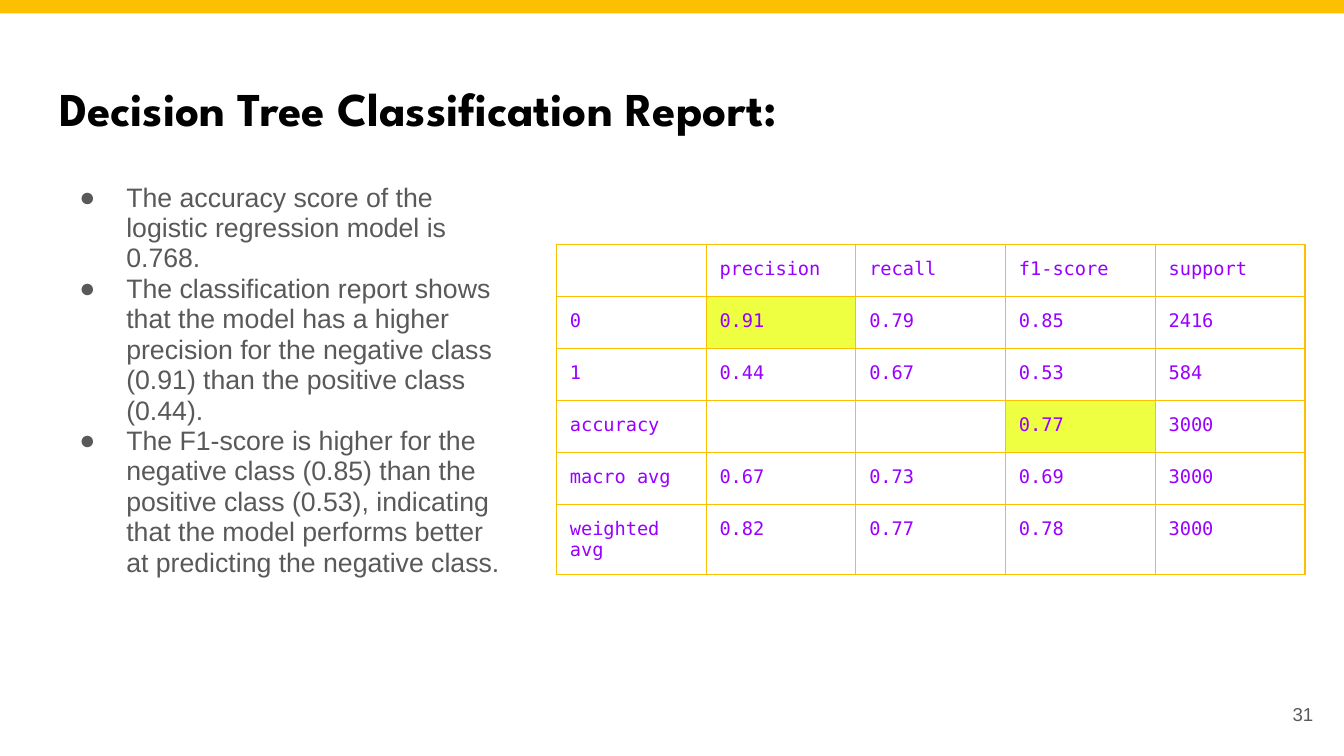
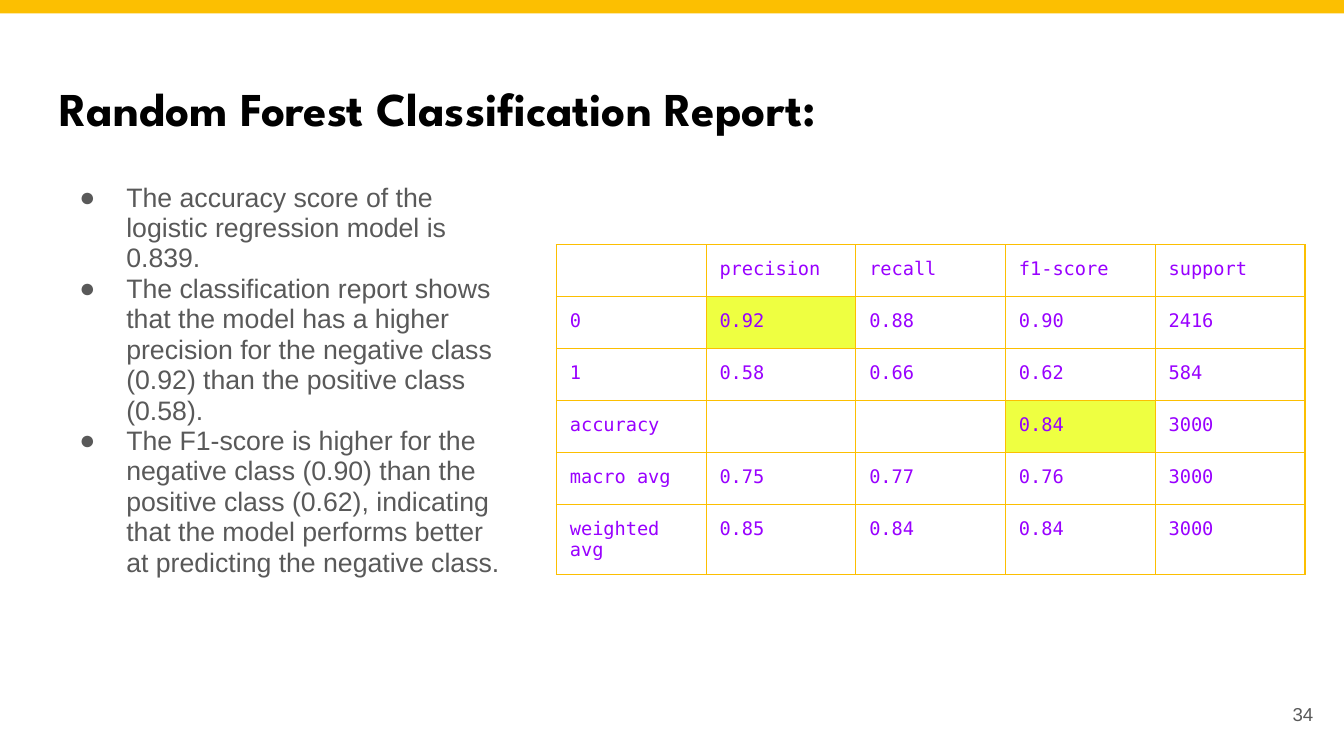
import pptx
import pptx.util
import pptx.dml.color
import pptx.enum.shapes
import pptx.enum.text
import lxml.etree
import pptx.oxml.ns

Inches, Pt = pptx.util.Inches, pptx.util.Pt
RGBColor = pptx.dml.color.RGBColor
ALIGN, ANCHOR = pptx.enum.text.PP_ALIGN, pptx.enum.text.MSO_ANCHOR
qn = pptx.oxml.ns.qn

# Content: scores are precision, recall, f1-score, support
HEADER = ["", "precision", "recall", "f1-score", "support"]
ROW_NAMES = ["0", "1", "accuracy", "macro avg", "weighted avg"]
HIGHLIGHTS = {(1, 1), (3, 3)}
REPORTS = [
    {"title": "Decision Tree Classification Report:", "page": "31", "accuracy": "0.768",
     "scores": [["0.91", "0.79", "0.85", "2416"],
                ["0.44", "0.67", "0.53", "584"],
                ["", "", "0.77", "3000"],
                ["0.67", "0.73", "0.69", "3000"],
                ["0.82", "0.77", "0.78", "3000"]]},
    {"title": "Random Forest Classification Report:", "page": "34", "accuracy": "0.839",
     "scores": [["0.92", "0.88", "0.90", "2416"],
                ["0.58", "0.66", "0.62", "584"],
                ["", "", "0.84", "3000"],
                ["0.75", "0.77", "0.76", "3000"],
                ["0.85", "0.84", "0.84", "3000"]]},
]
BULLETS = [
    "The accuracy score of the logistic regression model is {accuracy}.",
    "The classification report shows that the model has a higher precision for the "
    "negative class ({neg[0]}) than the positive class ({pos[0]}).",
    "The F1-score is higher for the negative class ({neg[2]}) than the positive class "
    "({pos[2]}), indicating that the model performs better at predicting the negative class.",
]

# Shared look
GOLD = RGBColor(0xFC, 0xBF, 0x01)
YELLOW = RGBColor(0xEE, 0xFF, 0x41)
PURPLE = RGBColor(0x99, 0x00, 0xFF)
GREY = RGBColor(0x59, 0x59, 0x59)
BLACK = RGBColor(0, 0, 0)
TITLE_FONT = {"name": "League Spartan", "size": Pt(25.2), "bold": True, "color": BLACK}
BODY_FONT = {"name": "Arial", "size": Pt(14.3), "color": GREY}
CELL_FONT = {"name": "DejaVu Sans Mono", "size": Pt(10), "color": PURPLE}
PAGE_FONT = {"name": "Arial", "size": Pt(10), "color": GREY}

# Layout in inches, on a 16:9 slide
WIDTH, BAND = 10, 0.1
HEIGHT = WIDTH * 9 / 16
MARGIN, INSET = 0.34, 0.1
TITLE_BOX = (MARGIN, 0.49, WIDTH - 2 * MARGIN, 0.63)
BODY_BOX = (MARGIN, 1.26, 3.52, 3.74)
PAGE_BOX = (9.27, 5.1, 0.6, 0.43)
TABLE_BOX = (4.14, 1.82, 5.57, 2.32)


def set_font(font, style):
    for key, value in style.items():
        if key == "color":
            font.color.rgb = value
        else:
            setattr(font, key, value)


def place(sp, box):
    for key, value in zip(("left", "top", "width", "height"), box):
        setattr(sp, key, Inches(value))


def fill_text(sp, lines, style, align=ALIGN.LEFT, anchor=ANCHOR.TOP, bullet=None):
    tf = sp.text_frame
    frame = {"word_wrap": True, "auto_size": pptx.enum.text.MSO_AUTO_SIZE.NONE,
             "vertical_anchor": anchor}
    frame.update({f"margin_{side}": Inches(INSET) for side in ("left", "top", "right", "bottom")})
    for key, value in frame.items():
        setattr(tf, key, value)
    for i, line in enumerate(lines):
        p = tf.paragraphs[0] if i == 0 else tf.add_paragraph()
        p.alignment, p.space_before, p.space_after = align, Pt(0), Pt(0)
        if bullet:
            p.line_spacing = 0.95
            add_bullet(p, bullet, style["color"])
        r = p.add_run()
        r.text = line
        set_font(r.font, style)


def add_bullet(p, char, color):
    pPr = p._p.get_or_add_pPr()
    pPr.set("marL", str(Inches(0.5)))
    pPr.set("indent", str(Inches(-0.35)))
    buClr = lxml.etree.SubElement(pPr, qn("a:buClr"))
    lxml.etree.SubElement(buClr, qn("a:srgbClr"), val=str(color))
    lxml.etree.SubElement(pPr, qn("a:buChar"), char=char)


def add_borders(cell, color):
    tcPr = cell._tc.get_or_add_tcPr()
    for side in ("lnL", "lnR", "lnT", "lnB"):
        ln = lxml.etree.SubElement(tcPr, qn(f"a:{side}"), w=str(Pt(0.75)))
        fill = lxml.etree.SubElement(ln, qn("a:solidFill"))
        lxml.etree.SubElement(fill, qn("a:srgbClr"), val=str(color))


def add_score_table(s, rows):
    table = s.shapes.add_table(len(rows), len(HEADER), *map(Inches, TABLE_BOX)).table
    table.first_row = table.horz_banding = False
    for i, row in enumerate(rows):
        for j, text in enumerate(row):
            cell = table.cell(i, j)
            for side in ("left", "top", "right", "bottom"):
                setattr(cell, f"margin_{side}", Inches(INSET))
            add_borders(cell, GOLD)
            if (i, j) in HIGHLIGHTS:
                cell.fill.solid()
                cell.fill.fore_color.rgb = YELLOW
            else:
                cell.fill.background()
            p = cell.text_frame.paragraphs[0]
            if text:
                r = p.add_run()
                r.text = text
                set_font(r.font, CELL_FONT)
            else:
                # Keeps an empty cell from stretching its row
                lxml.etree.SubElement(p._p, qn("a:endParaRPr"), sz="1000")


def add_report(prs, report):
    s = prs.slides.add_slide(prs.slide_layouts[1])
    title, body = s.placeholders[0], s.placeholders[1]

    # Title
    place(title, TITLE_BOX)
    fill_text(title, [report["title"]], TITLE_FONT)

    # Top band
    band = s.shapes.add_shape(pptx.enum.shapes.MSO_SHAPE.RECTANGLE, 0, 0,
                              Inches(WIDTH), Inches(BAND))
    band.shadow.inherit = False
    band.fill.solid()
    band.fill.fore_color.rgb = GOLD
    band.line.fill.background()

    # Score table
    scores = report["scores"]
    add_score_table(s, [HEADER] + [[name] + row for name, row in zip(ROW_NAMES, scores)])

    # Findings
    place(body, BODY_BOX)
    lines = [b.format(accuracy=report["accuracy"], neg=scores[0], pos=scores[1])
             for b in BULLETS]
    fill_text(body, lines, BODY_FONT, bullet="●")

    # Page number
    page = s.shapes.add_textbox(*map(Inches, PAGE_BOX))
    fill_text(page, [report["page"]], PAGE_FONT, ALIGN.RIGHT, ANCHOR.MIDDLE)


def main():
    prs = pptx.Presentation()
    prs.slide_width, prs.slide_height = Inches(WIDTH), Inches(HEIGHT)
    for report in REPORTS:
        add_report(prs, report)
    prs.save("out.pptx")


if __name__ == "__main__":
    main()
